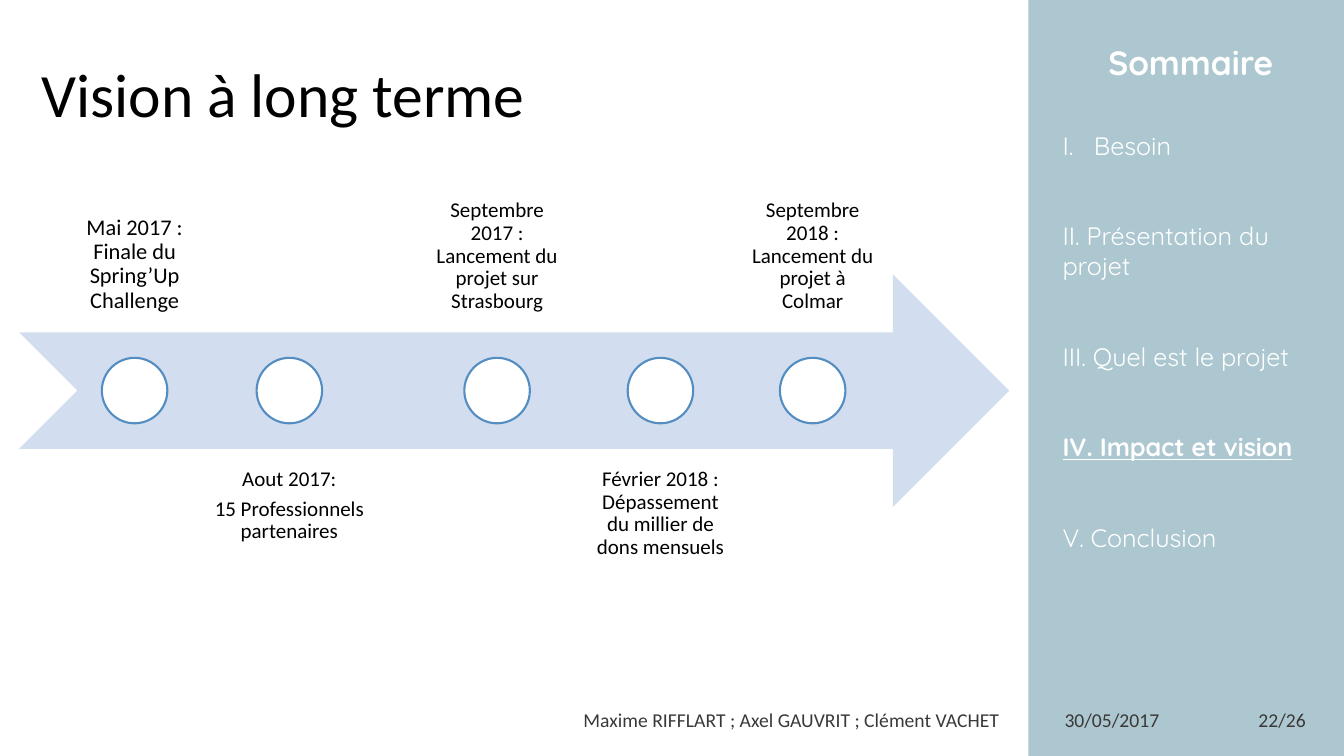
from pptx import Presentation
from pptx.dml.color import RGBColor
from pptx.enum import shapes, text
from pptx.util import Inches, Pt

ALIGN = text.PP_ALIGN
ANCHOR = text.MSO_ANCHOR
BLACK, WHITE, GREY = "000000", "FFFFFF", "3B3838"

MENU = ["I.   Besoin", "II. Présentation du projet", "III. Quel est le projet",
        "IV. Impact et vision", "V. Conclusion"]
CURRENT_ITEM = 3
MILESTONES = [
    (1.335, 1.52, 16, ["Mai 2017 : Finale du Spring’Up Challenge"]),
    (2.87, 2.44, 15, ["Aout 2017:", "15 Professionnels partenaires"]),
    (4.93, 1.52, 15, ["Septembre 2017 : Lancement du projet sur Strasbourg"]),
    (6.55, 1.52, 15, ["Février 2018 : Dépassement du millier de dons mensuels"]),
    (8.06, 1.52, 15, ["Septembre 2018 : Lancement du projet à Colmar"]),
]


def color(value):
    """Return the colour for a hex string."""
    return RGBColor.from_string(value)


def write(shape, lines, size, font="Calibri", fill=BLACK, align=ALIGN.LEFT,
          anchor=ANCHOR.TOP, spacing=None, gap=0):
    """Fill a shape with formatted paragraphs and return its text frame."""
    frame = shape.text_frame
    frame.word_wrap = True
    frame.auto_size = text.MSO_AUTO_SIZE.NONE
    frame.vertical_anchor = anchor
    frame.text = "\n".join(lines)
    for index, paragraph in enumerate(frame.paragraphs):
        paragraph.alignment = align
        paragraph.line_spacing = spacing
        paragraph.space_before = Pt(gap if index else 0)
        for run in paragraph.runs:
            run.font.name = font
            run.font.size = Pt(size)
            run.font.color.rgb = color(fill)
    return frame


def add_text(slide, box, lines, size, **style):
    """Add a text box and return its text frame."""
    shape = slide.shapes.add_textbox(*map(Inches, box))
    return write(shape, lines, size, **style)


def add_shape(slide, kind, box, fill, line=None):
    """Add a filled preset shape with an optional outline."""
    shape = slide.shapes.add_shape(kind, *map(Inches, box))
    shape.shadow.inherit = False
    shape.fill.solid()
    shape.fill.fore_color.rgb = color(fill)
    if line:
        shape.line.color.rgb = color(line)
        shape.line.width = Pt(1.5)
    else:
        shape.line.fill.background()
    return shape


def add_sidebar(slide, left, top, width, height):
    """Draw the summary panel with the current section highlighted."""
    add_shape(slide, shapes.MSO_SHAPE.RECTANGLE, (left, top, width, height), "ACC7CF")
    heading = add_text(slide, (left + 0.24, top + 0.37, 2.74, 0.5), ["Sommaire"], 24,
                       font="Quicksand", fill=WHITE, align=ALIGN.CENTER)
    heading.paragraphs[0].runs[0].font.bold = True
    menu = add_text(slide, (left + 0.24, top + 1.24, 2.74, 4.34), MENU, 18,
                    font="Quicksand", fill=WHITE, gap=43)
    current = menu.paragraphs[CURRENT_ITEM].runs[0].font
    current.bold = True
    current.underline = True


def add_title(slide, left, top, width, height):
    """Place and format the slide title."""
    title = slide.shapes.title
    title.left, title.top, title.width, title.height = map(
        Inches, (left, top, width, height))
    write(title, ["Vision à long terme"], 44, anchor=ANCHOR.MIDDLE, spacing=0.9)


def add_timeline(slide, left, top, width, height):
    """Draw the arrow, its milestones and labels alternating above and below."""
    add_shape(slide, shapes.MSO_SHAPE.NOTCHED_RIGHT_ARROW,
              (left, top, width, height), "D2DEEF")
    middle = top + height / 2
    diameter, label_height, label_offset = 0.65, 2.62, 0.65
    for index, (center, label_width, size, lines) in enumerate(MILESTONES):
        above = index % 2 == 0
        label_top = middle - label_offset - label_height if above else middle + label_offset
        frame = add_text(
            slide, (left + center - label_width / 2 - 0.19, label_top, label_width, label_height),
            lines, size, align=ALIGN.CENTER, spacing=0.9, gap=5,
            anchor=ANCHOR.BOTTOM if above else ANCHOR.TOP)
        frame.margin_left = frame.margin_right = Inches(0.12)
        frame.margin_top = frame.margin_bottom = Inches(0.12)
        add_shape(slide, shapes.MSO_SHAPE.OVAL,
                  (left + center - diameter / 2 - 0.19, middle - diameter / 2, diameter, diameter),
                  WHITE, "538DC1")


def add_footer(slide, top, height):
    """Write the authors, date and page number."""
    for left, width, line, align in [
            (5.6, 4.5, "Maxime RIFFLART ; Axel GAUVRIT ; Clément VACHET", ALIGN.CENTER),
            (10.46, 1.29, "30/05/2017", ALIGN.LEFT),
            (12.11, 0.94, "22/26", ALIGN.RIGHT)]:
        add_text(slide, (left, top, width, height), [line], 14, fill=GREY,
                 align=align, anchor=ANCHOR.MIDDLE)


def main():
    """Build and save the presentation."""
    presentation = Presentation()
    presentation.slide_width = Inches(13.33)
    presentation.slide_height = Inches(7.5)
    slide = presentation.slides.add_slide(presentation.slide_layouts[5])
    add_sidebar(slide, 10.2, 0, 3.13, 7.5)
    add_title(slide, 0.31, 0.24, 9.7, 1.45)
    add_timeline(slide, 0.19, 2.72, 9.82, 2.31)
    add_footer(slide, 6.94, 0.4)
    presentation.save("out.pptx")


if __name__ == "__main__":
    main()
